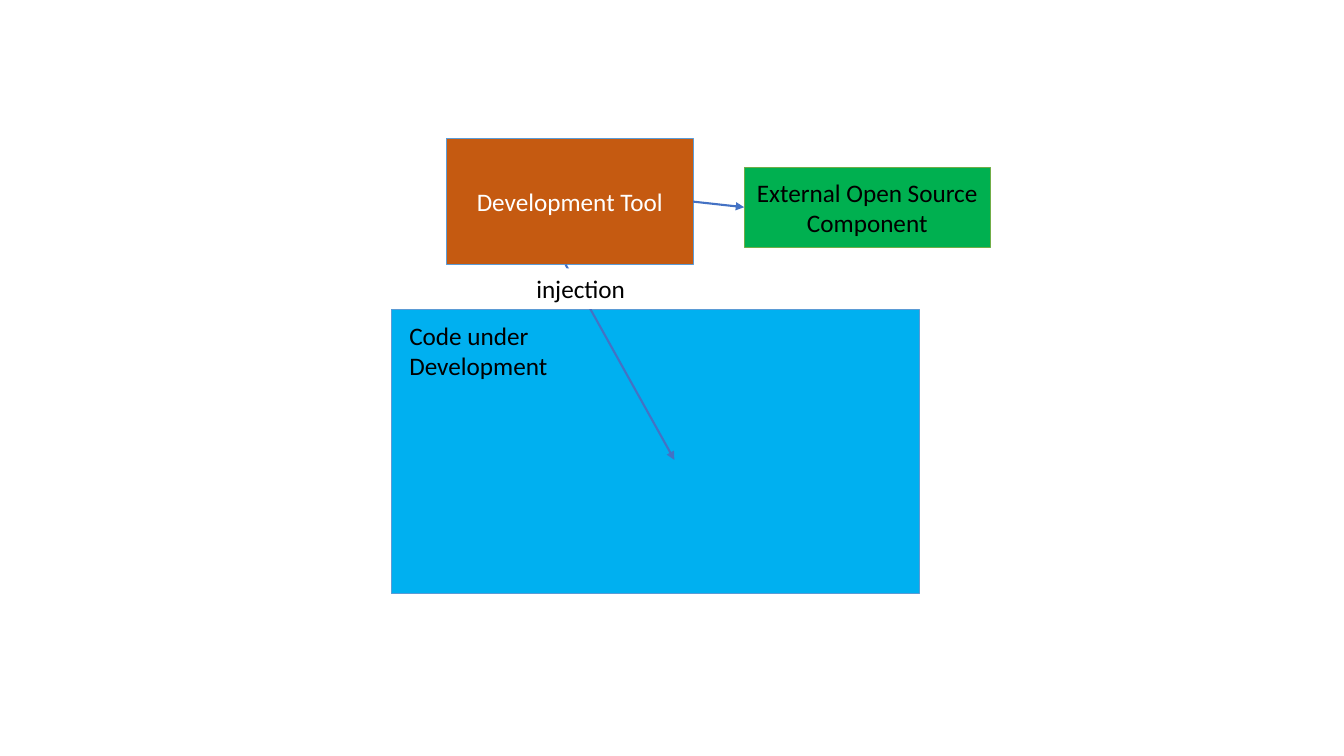
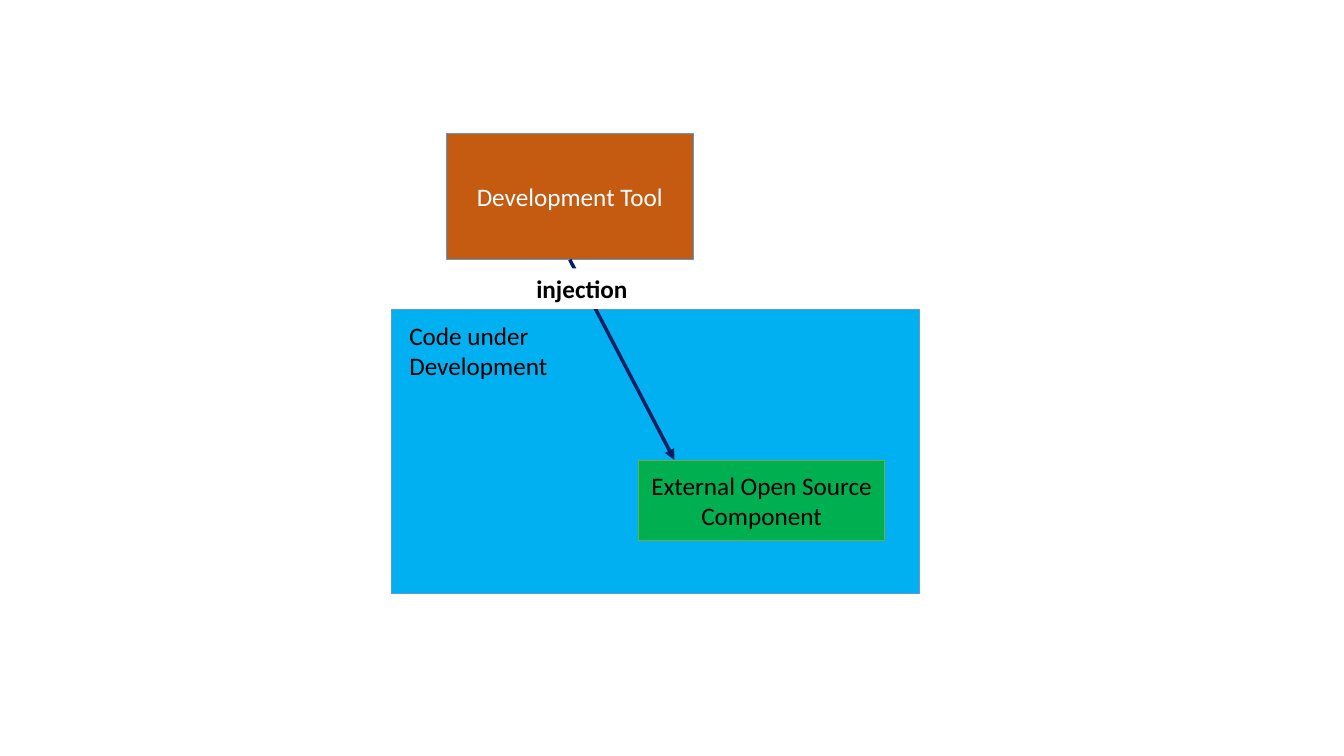
from lxml import etree
from pptx import Presentation
from pptx.dml.color import RGBColor
from pptx.enum.shapes import MSO_CONNECTOR, MSO_SHAPE
from pptx.enum.text import MSO_ANCHOR, PP_ALIGN
from pptx.oxml.ns import qn
from pptx.util import Pt

RECTANGLE = MSO_SHAPE.RECTANGLE
STRAIGHT = MSO_CONNECTOR.STRAIGHT
MIDDLE = MSO_ANCHOR.MIDDLE
CENTER = PP_ALIGN.CENTER
LEFT_SITE, RIGHT_SITE = 1, 3
BLANK_LAYOUT = 6
COLORS = {
    "code": "00B0F0",
    "component": "00B050",
    "component_edge": "70AD47",
    "tool": "C55A11",
    "edge": "5B9BD5",
    "arrow": "4472C4",
    "strong_arrow": "002060",
    "black": "000000",
    "white": "FFFFFF",
}


def rgb(name):
    return RGBColor.from_string(COLORS[name])


class Diagram:
    """Draws the injection diagrams in one shared style."""

    font_name = "Calibri"
    font_size = Pt(18)
    box_width = 176

    def __init__(self):
        self.presentation = Presentation()
        self.presentation.slide_width = Pt(960)
        self.presentation.slide_height = Pt(540)
        self.slide = None

    def add_slide(self):
        layout = self.presentation.slide_layouts[BLANK_LAYOUT]
        self.slide = self.presentation.slides.add_slide(layout)

    def set_text(self, shape, text, color="black", bold=False):
        frame = shape.text_frame
        frame.word_wrap = True
        frame.text = text
        paragraph = frame.paragraphs[0]
        paragraph.font.name = self.font_name
        paragraph.font.size = self.font_size
        paragraph.font.bold = bold
        paragraph.font.color.rgb = rgb(color)
        return paragraph

    def box(self, shapes, left, top, width, height, fill, edge):
        shape = shapes.add_shape(RECTANGLE, Pt(left), Pt(top), Pt(width), Pt(height))
        shape.shadow.inherit = False
        shape.fill.solid()
        shape.fill.fore_color.rgb = rgb(fill)
        shape.line.color.rgb = rgb(edge)
        shape.line.width = Pt(0.5)
        return shape

    def label(self, shapes, left, top, width, height, text, fill, bold=False):
        shape = shapes.add_textbox(Pt(left), Pt(top), Pt(width), Pt(height))
        shape.fill.solid()
        shape.fill.fore_color.rgb = rgb(fill)
        self.set_text(shape, text, bold=bold)

    def titled_box(self, left, top, height, text, fill, edge, color):
        shape = self.box(self.slide.shapes, left, top, self.box_width, height, fill, edge)
        shape.text_frame.vertical_anchor = MIDDLE
        self.set_text(shape, text, color).alignment = CENTER
        return shape

    def code_area(self):
        shapes = self.slide.shapes.add_group_shape().shapes
        self.box(shapes, 279.5, 221, 377, 203, "code", "edge")
        self.label(shapes, 285.3, 225.3, 133, 51, "Code under\vDevelopment", "code")

    def component(self, left, top):
        return self.titled_box(left, top, 57, "External Open Source Component",
                               "component", "component_edge", "black")

    def tool(self, top):
        return self.titled_box(319, top, 90, "Development Tool", "tool", "edge", "white")

    def arrow(self, start=(0, 0), end=(0, 0), color="arrow", width=1.5):
        connector = self.slide.shapes.add_connector(
            STRAIGHT, *(Pt(value) for value in (*start, *end)))
        connector.line.color.rgb = rgb(color)
        connector.line.width = Pt(width)
        properties = connector._element.spPr
        etree.SubElement(properties.find(qn("a:ln")), qn("a:tailEnd"), type="triangle")
        etree.SubElement(properties, qn("a:effectLst"))
        return connector

    def injection(self, start, color="arrow", width=1.5, bold=False):
        self.arrow(start, (481.7, 328.5), color, width)
        self.label(self.slide.shapes, 376, 191.7, 91.5, 29, "injection", "white", bold)


def main():
    diagram = Diagram()

    diagram.add_slide()
    diagram.code_area()
    component = diagram.component(531.5, 119.5)
    tool = diagram.tool(99)
    link = diagram.arrow()
    link.begin_connect(tool, RIGHT_SITE)
    link.end_connect(component, LEFT_SITE)
    diagram.injection((404, 189))

    diagram.add_slide()
    diagram.code_area()
    diagram.component(456, 328.7)
    diagram.tool(95.5)
    diagram.injection((407, 185.5), "strong_arrow", 2.5, bold=True)

    diagram.presentation.save("out.pptx")


if __name__ == "__main__":
    main()
